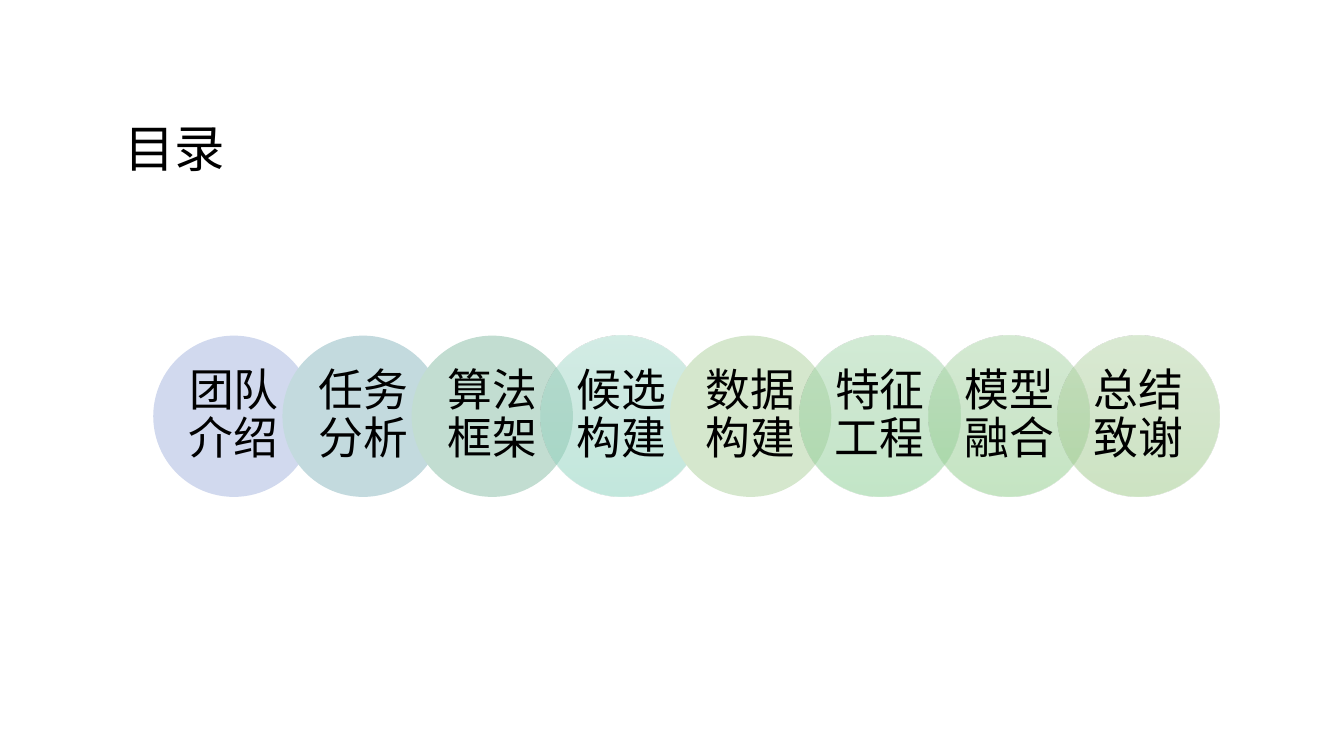
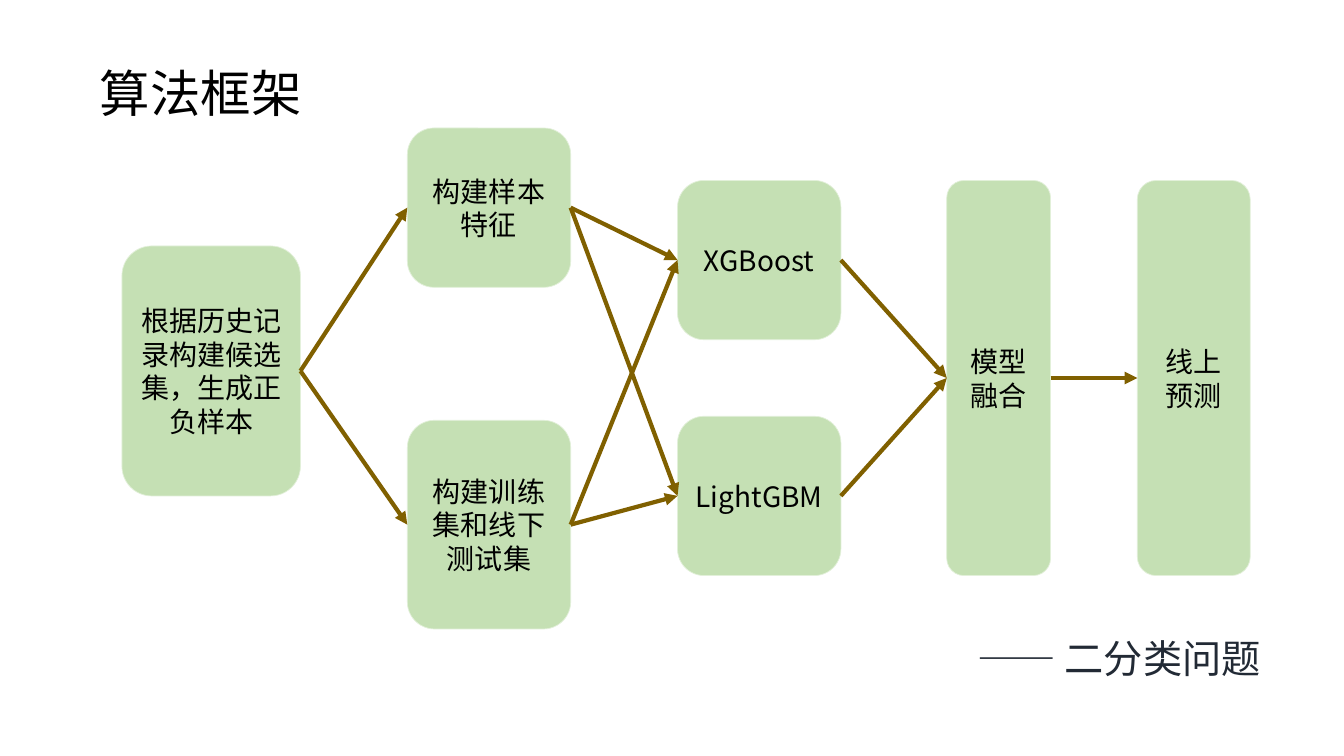
from lxml.etree import SubElement
from pptx import Presentation
from pptx.dml.color import RGBColor
from pptx.enum.shapes import MSO_CONNECTOR as Connector, MSO_SHAPE as Shape
from pptx.enum.text import MSO_ANCHOR as Anchor, MSO_AUTO_SIZE as AutoSize, PP_ALIGN as Align
from pptx.oxml.ns import qn
from pptx.util import Inches, Pt

BLACK = RGBColor(0x00, 0x00, 0x00)
SLATE = RGBColor(0x22, 0x2A, 0x35)
LEAF = RGBColor(0xC5, 0xE0, 0xB4)
PALE_LEAF = RGBColor(0xE2, 0xF0, 0xD9)
BRONZE = RGBColor(0x80, 0x60, 0x00)
LAVENDER = RGBColor(0xD1, 0xD9, 0xEE)
MIST = RGBColor(0xC3, 0xDA, 0xDE)
SAGE = RGBColor(0xC2, 0xDD, 0xD1)
LIME = RGBColor(0xD5, 0xE7, 0xCD)
AQUA_FADE = [RGBColor.from_string(code) for code in ("A8DBCC", "9AD4C3", "87D2BC")]
MINT_FADE = [RGBColor.from_string(code) for code in ("A7D8AD", "9AD1A1", "87CE90")]
GREEN_FADE = [RGBColor.from_string(code) for code in ("ABD6A7", "9DCF9A", "8CCC87")]
OLIVE_FADE = [RGBColor.from_string(code) for code in ("B5D5A7", "AACE9A", "9CC987")]

CHINESE_FONT = "Noto Sans CJK SC"
TITLE_FONT = {"name": CHINESE_FONT, "size": Pt(36), "bold": False}
TOPIC_FONT = {"name": "Calibri", "size": Pt(32)}
STEP_FONT = {"name": "Noto Sans CJK JP", "size": Pt(20)}
NOTE_FONT = {"name": "Noto Sans CJK JP", "size": Pt(28)}

TITLE_FRAME = {"vertical_anchor": Anchor.TOP, "word_wrap": True,
               "auto_size": AutoSize.SHAPE_TO_FIT_TEXT}
SHAPE_FRAME = {"vertical_anchor": Anchor.MIDDLE, "word_wrap": True}
TOPIC_FRAME = {**SHAPE_FRAME,
               "margin_left": Inches(0.09), "margin_right": Inches(0.09),
               "margin_top": Inches(0.04), "margin_bottom": Inches(0.04)}
LEFT = {"alignment": Align.LEFT}
RIGHT = {"alignment": Align.RIGHT}
CENTER = {"alignment": Align.CENTER}
TOPIC_PARA = {**CENTER, "line_spacing": 0.9, "space_after": Pt(11)}

TOPICS = [("团队介绍", LAVENDER), ("任务分析", MIST), ("算法框架", SAGE),
          ("候选构建", AQUA_FADE), ("数据构建", LIME), ("特征工程", MINT_FADE),
          ("模型融合", GREEN_FADE), ("总结致谢", OLIVE_FADE)]
FIRST_LEFT, LAST_LEFT, CIRCLE_TOP, DIAMETER = 1.52, 10.49, 3.33, 1.6

STEPS = {
    "candidates": ("根据历史记录构建候选集，生成正负样本", 1.21, 2.44, 1.77, 2.48),
    "features": ("构建样本特征", 4.04, 1.27, 1.62, 1.58),
    "datasets": ("构建训练集和线下测试集", 4.04, 4.17, 1.62, 2.07),
    "xgboost": ("XGBoost", 6.72, 1.79, 1.62, 1.58),
    "lightgbm": ("LightGBM", 6.72, 4.13, 1.62, 1.58),
    "fusion": ("模型融合", 9.39, 1.79, 1.03, 3.92),
    "prediction": ("线上预测", 11.28, 1.79, 1.12, 3.92),
}
FLOW = [("candidates", "features"), ("candidates", "datasets"),
        ("features", "xgboost"), ("features", "lightgbm"),
        ("datasets", "xgboost"), ("datasets", "lightgbm"),
        ("xgboost", "fusion"), ("lightgbm", "fusion"),
        ("fusion", "prediction")]
LEFT_SITE, RIGHT_SITE = 1, 3


def apply_format(target, values):
    for name, value in values.items():
        setattr(target, name, value)


def write_text(box, text, font, frame_format, para_format, color=BLACK):
    frame = box.text_frame
    apply_format(frame, frame_format)
    para = frame.paragraphs[0]
    apply_format(para, para_format)
    span = para.add_run()
    span.text = text
    apply_format(span.font, font)
    span.font.color.rgb = color
    typeface = CHINESE_FONT if font["name"] == "Calibri" else font["name"]
    SubElement(span._r.get_or_add_rPr(), qn("a:ea"), typeface=typeface)


def add_page(deck, title, left, top):
    page = deck.slides.add_slide(deck.slide_layouts[5])
    box = page.shapes.title
    apply_format(box, {"left": Inches(left), "top": Inches(top),
                       "width": Inches(3.74), "height": Inches(0.7)})
    write_text(box, title, TITLE_FONT, TITLE_FRAME, LEFT)
    return page


def add_shape(page, kind, left, top, width, height):
    shape = page.shapes.add_shape(kind, Inches(left), Inches(top),
                                  Inches(width), Inches(height))
    shape.shadow.inherit = False
    return shape


def fill_fade(shape, colors):
    shape.fill.gradient()
    shape.fill.gradient_angle = 270
    stops = shape._element.spPr.find(qn("a:gradFill")).find(qn("a:gsLst"))
    for stop in list(stops):
        stops.remove(stop)
    for position, color in zip((0, 50000, 100000), colors):
        stop = SubElement(stops, qn("a:gs"), pos=str(position))
        tint = SubElement(stop, qn("a:srgbClr"), val=str(color))
        SubElement(tint, qn("a:alpha"), val="50000")


def add_topic(page, text, left, paint):
    circle = add_shape(page, Shape.OVAL, left, CIRCLE_TOP, DIAMETER, DIAMETER)
    if isinstance(paint, list):
        fill_fade(circle, paint)
    else:
        circle.fill.solid()
        circle.fill.fore_color.rgb = paint
    circle.line.fill.background()
    write_text(circle, text, TOPIC_FONT, TOPIC_FRAME, TOPIC_PARA)


def add_step(page, text, *place):
    box = add_shape(page, Shape.ROUNDED_RECTANGLE, *place)
    box.fill.solid()
    box.fill.fore_color.rgb = LEAF
    box.line.color.rgb = PALE_LEAF
    box.line.width = Pt(0.5)
    write_text(box, text, STEP_FONT, SHAPE_FRAME, CENTER)
    return box


def add_arrow(page, source, target):
    arrow = page.shapes.add_connector(Connector.STRAIGHT, 0, 0, 0, 0)
    arrow.begin_connect(source, RIGHT_SITE)
    arrow.end_connect(target, LEFT_SITE)
    arrow.line.color.rgb = BRONZE
    arrow.line.width = Pt(3)
    properties = arrow._element.spPr
    SubElement(properties.find(qn("a:ln")), qn("a:tailEnd"), type="triangle")
    SubElement(properties, qn("a:effectLst"))


def add_note(page, text, left, top, width, height):
    box = page.shapes.add_textbox(Inches(left), Inches(top),
                                  Inches(width), Inches(height))
    write_text(box, text, NOTE_FONT, TITLE_FRAME, RIGHT, SLATE)


def build_contents(deck):
    page = add_page(deck, "目录", 1.13, 1.11)
    pitch = (LAST_LEFT - FIRST_LEFT) / (len(TOPICS) - 1)
    for index, (text, paint) in enumerate(TOPICS):
        add_topic(page, text, FIRST_LEFT + index * pitch, paint)


def build_framework(deck):
    page = add_page(deck, "算法框架", 0.89, 0.57)
    add_note(page, "—— 二分类问题", 8.65, 6.24, 3.95, 0.57)
    boxes = {name: add_step(page, *step) for name, step in STEPS.items()}
    for source, target in FLOW:
        add_arrow(page, boxes[source], boxes[target])


def main():
    deck = Presentation()
    deck.slide_width = Inches(13.33)
    deck.slide_height = Inches(7.5)
    build_contents(deck)
    build_framework(deck)
    deck.save("out.pptx")


if __name__ == "__main__":
    main()
